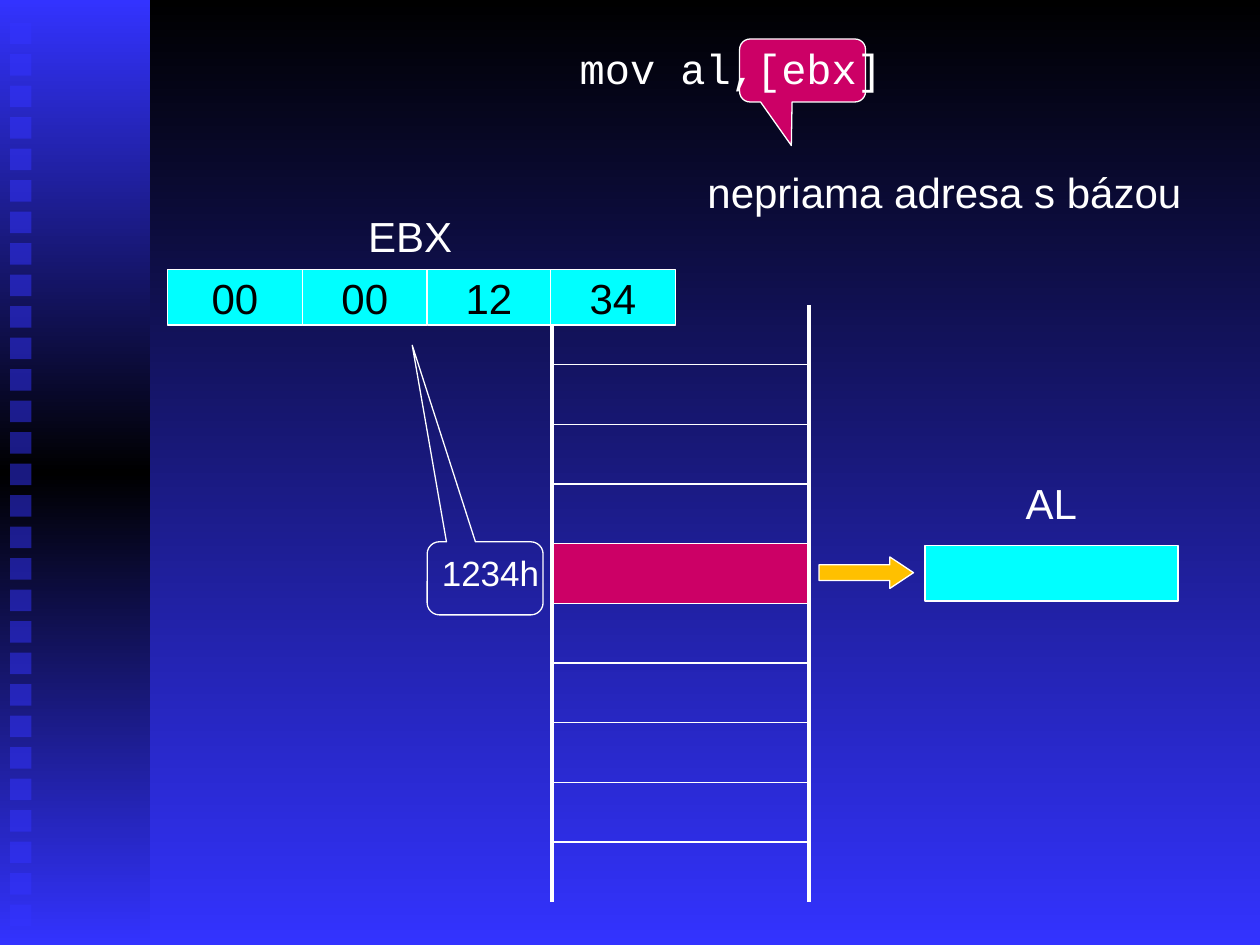
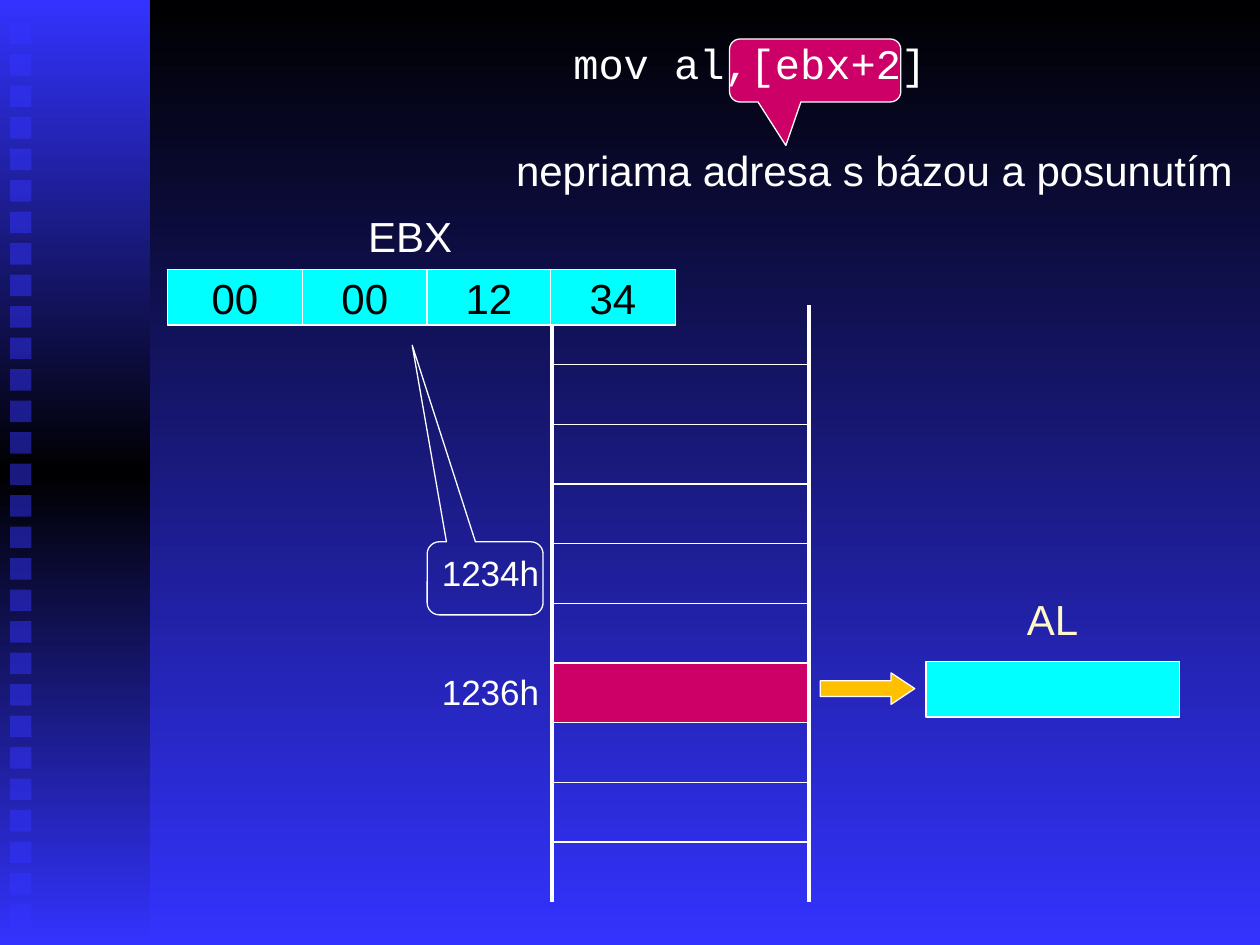
from copy import deepcopy
from lxml import etree
from pptx import Presentation
from pptx import util as u
from pptx.dml import color as col
from pptx.enum import shapes as sh, text as tx
from pptx.oxml import ns

WHITE = col.RGBColor(0xFF, 0xFF, 0xFF)
BLACK = col.RGBColor(0x00, 0x00, 0x00)
BLUE = col.RGBColor(0x33, 0x33, 0xFF)
CYAN = col.RGBColor(0x00, 0xFF, 0xFF)
PINK = col.RGBColor(0xCC, 0x00, 0x66)
GOLD = col.RGBColor(0xFF, 0xC0, 0x00)
CREAM = col.RGBColor(0xFF, 0xF9, 0xC9)

KIND = sh.MSO_SHAPE
ALIGN = tx.PP_ALIGN
NO_GRID = "{2D5ABB26-0587-4C30-8999-92F81FD0307C}"


def draw(home, kind, box, fill=None, line=WHITE, turns=()):
    shape = home.shapes.add_shape(kind, *[u.Inches(n) for n in box])
    shape.shadow.inherit = False
    for n, turn in enumerate(turns):
        shape.adjustments[n] = turn
    if fill is None:
        shape.fill.background()
    else:
        shape.fill.solid()
        shape.fill.fore_color.rgb = fill
    if line is None:
        shape.line.fill.background()
    else:
        shape.line.color.rgb = line
        shape.line.width = u.Pt(0.75)
    return shape


def write(frame, words, tint=WHITE, face="Arial", align=ALIGN.CENTER, size=24, top=0.09):
    form = {"word_wrap": True, "auto_size": tx.MSO_AUTO_SIZE.NONE,
            "vertical_anchor": tx.MSO_ANCHOR.TOP,
            "margin_left": u.Inches(0.1), "margin_right": u.Inches(0.1),
            "margin_top": u.Inches(top), "margin_bottom": u.Inches(0.05)}
    for key, value in form.items():
        setattr(frame, key, value)
    par = frame.paragraphs[0]
    par.alignment = align
    run = par.add_run()
    run.text = words
    for key, value in {"name": face, "size": u.Pt(size), "bold": False}.items():
        setattr(run.font, key, value)
    run.font.color.rgb = tint


deck = Presentation()
deck.slide_width, deck.slide_height = u.Inches(10), u.Inches(7.5)
plain = deck.slide_layouts[5]

sky = deck.slide_master.background.fill
sky.gradient()
sky.gradient_angle = 270
for stop, tint in zip(sky.gradient_stops, (BLACK, BLUE)):
    stop.color.rgb = tint

pages = [
    {"code": "mov al,[ebx]", "head": (4.5, 0.25, 2.75, 0.55),
     "call": (5.87, 0.31, 1, 0.5), "tip": -0.089,
     "note": "nepriama adresa s bázou", "place": (5.12, 1.23, 4.75, 0.54),
     "marks": {4: "1234h"}, "hit": 4, "reg": (7.34, 4.33), "tint": WHITE},
    {"code": "mov al,[ebx+2]", "head": (4.45, 0.21, 3.33, 0.55),
     "call": (5.79, 0.31, 1.36, 0.5), "tip": -0.171,
     "note": "nepriama adresa s bázou a posunutím", "place": (3.98, 1.06, 5.92, 0.54),
     "marks": {4: "1234h", 6: "1236h"}, "hit": 6, "reg": (7.35, 5.25), "tint": CREAM},
]
slides = [deck.slides.add_slide(plain) for page in pages]

side = slides[0].shapes.add_group_shape()
band = draw(side, KIND.RECTANGLE, (0, 0, 1.19, 7.5), BLUE, None)
band.fill.gradient()
band.fill.gradient_angle = 270
stops = band._element.find(".//" + ns.qn("a:gsLst"))
stops.append(deepcopy(stops[0]))
for n, (stop, tint) in enumerate(zip(band.fill.gradient_stops, (BLUE, BLACK, BLUE))):
    stop.position = n / 2
    stop.color.rgb = tint
for n in range(29):
    dot = draw(side, KIND.RECTANGLE, (0.08, 0.18 + 0.25 * n, 0.17, 0.17), BLUE, None)
    shade = dot._element.find(".//" + ns.qn("a:srgbClr"))
    etree.SubElement(shade, ns.qn("a:alpha"), val="50000")
for n, node in enumerate(side._element.iter(ns.qn("p:cNvPr")), 100):
    node.set("id", str(n))
plain.shapes._spTree.insert(2, side._element)

for slide, page in zip(slides, pages):
    frame = slide.shapes.add_table(10, 2, *[u.Inches(n) for n in (2, 2.42, 4.42, 4.74)])
    grid = frame.table
    grid.first_row = grid.horz_banding = False
    frame._element.find(".//" + ns.qn("a:tableStyleId")).text = NO_GRID
    for n, wide in enumerate((2.38, 2.04)):
        grid.columns[n].width = u.Inches(wide)
    for n in range(10):
        left, cell = grid.cell(n, 0), grid.cell(n, 1)
        left.fill.background()
        if n in page["marks"]:
            write(left.text_frame, page["marks"][n], align=ALIGN.RIGHT, size=20)
            for key, value in {"margin_left": 0.1, "margin_right": 0.1,
                               "margin_top": 0.09, "margin_bottom": 0.05}.items():
                setattr(left, key, u.Inches(value))
        if n == page["hit"]:
            cell.fill.solid()
            cell.fill.fore_color.rgb = PINK
        else:
            cell.fill.background()
        edges = {"L": 2.25, "R": 2.25}
        if n > 0:
            edges["T"] = 1
        if n < 9:
            edges["B"] = 1
        for spot, (edge, wide) in enumerate(edges.items()):
            line = etree.Element(ns.qn("a:ln" + edge), w=str(u.Pt(wide)))
            fill = etree.SubElement(line, ns.qn("a:solidFill"))
            etree.SubElement(fill, ns.qn("a:srgbClr"), val=str(WHITE))
            cell._tc.get_or_add_tcPr().insert(spot, line)

    x, y = page["reg"]
    draw(slide, KIND.RECTANGLE, (x, y, 2.01, 0.44), CYAN)
    draw(slide, KIND.RIGHT_ARROW, (x - 0.84, y + 0.09, 0.75, 0.25), GOLD, turns=(0.5, 0.75))
    draw(slide, KIND.ROUNDED_RECTANGULAR_CALLOUT, (3.39, 4.3, 0.92, 0.58),
         turns=(-0.629, -3.19, 0.167))
    draw(slide, KIND.ROUNDED_RECTANGULAR_CALLOUT, page["call"], PINK,
         turns=(page["tip"], 1.191, 0.167))

    for words, box, tint in (
            ("AL", (x - 0.16, y - 0.63, 2.33, 0.55), page["tint"]),
            (page["note"], page["place"], WHITE),
            ("EBX", (2.09, 1.58, 2.33, 0.55), WHITE)):
        label = slide.shapes.add_textbox(*[u.Inches(n) for n in box])
        write(label.text_frame, words, tint)

    cuts = (1.33, 2.4, 3.39, 4.37, 5.36)
    for byte, start, end in zip(("00", "00", "12", "34"), cuts, cuts[1:]):
        cell = draw(slide, KIND.RECTANGLE, (start, 2.14, end - start, 0.44), CYAN)
        write(cell.text_frame, byte, BLACK, top=0.02)

    title = slide.shapes.title
    for key, value in zip(("left", "top", "width", "height"), page["head"]):
        setattr(title, key, u.Inches(value))
    write(title.text_frame, page["code"], face="Courier New", align=ALIGN.LEFT)
    slide.shapes._spTree.append(title._element)

deck.save("out.pptx")
